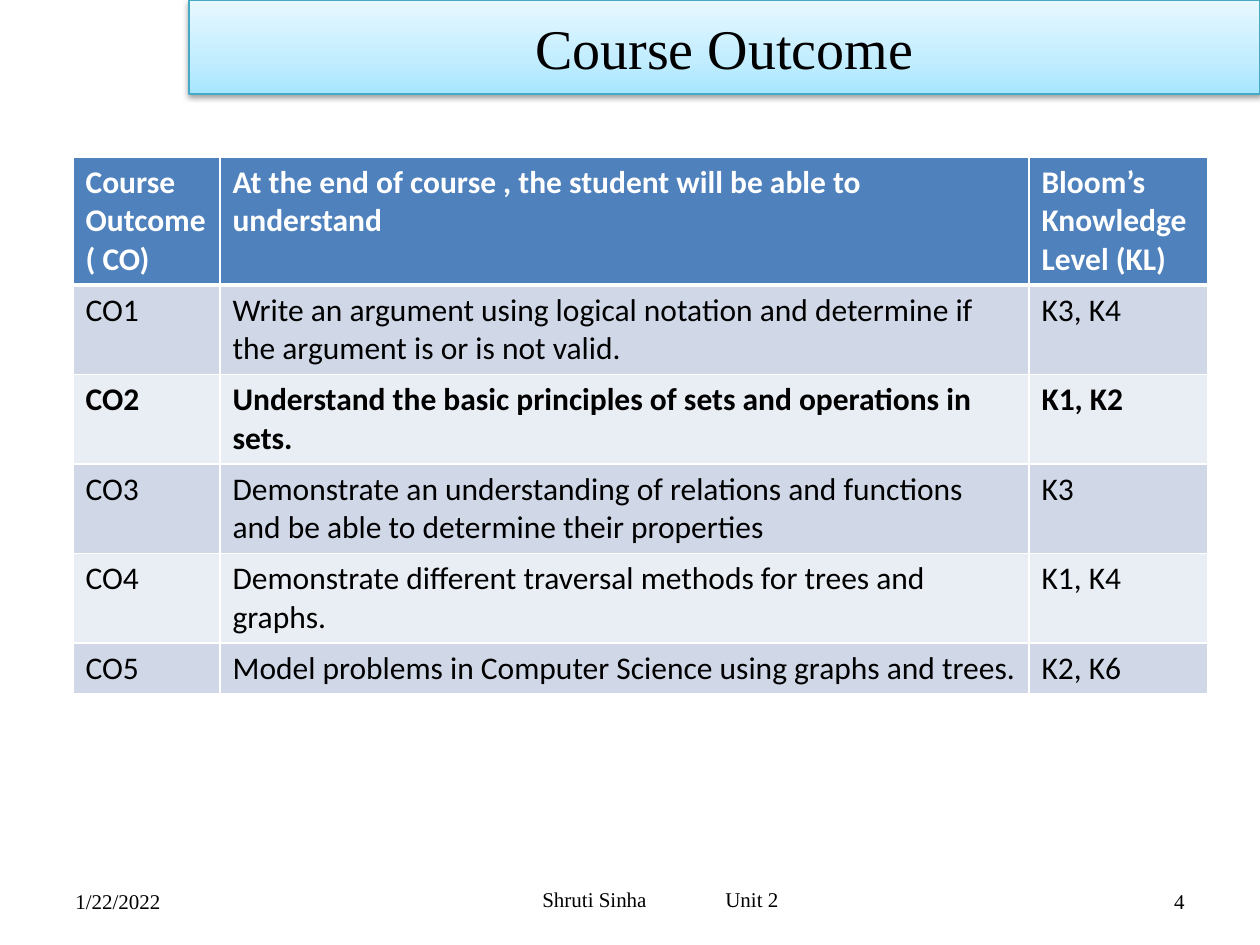
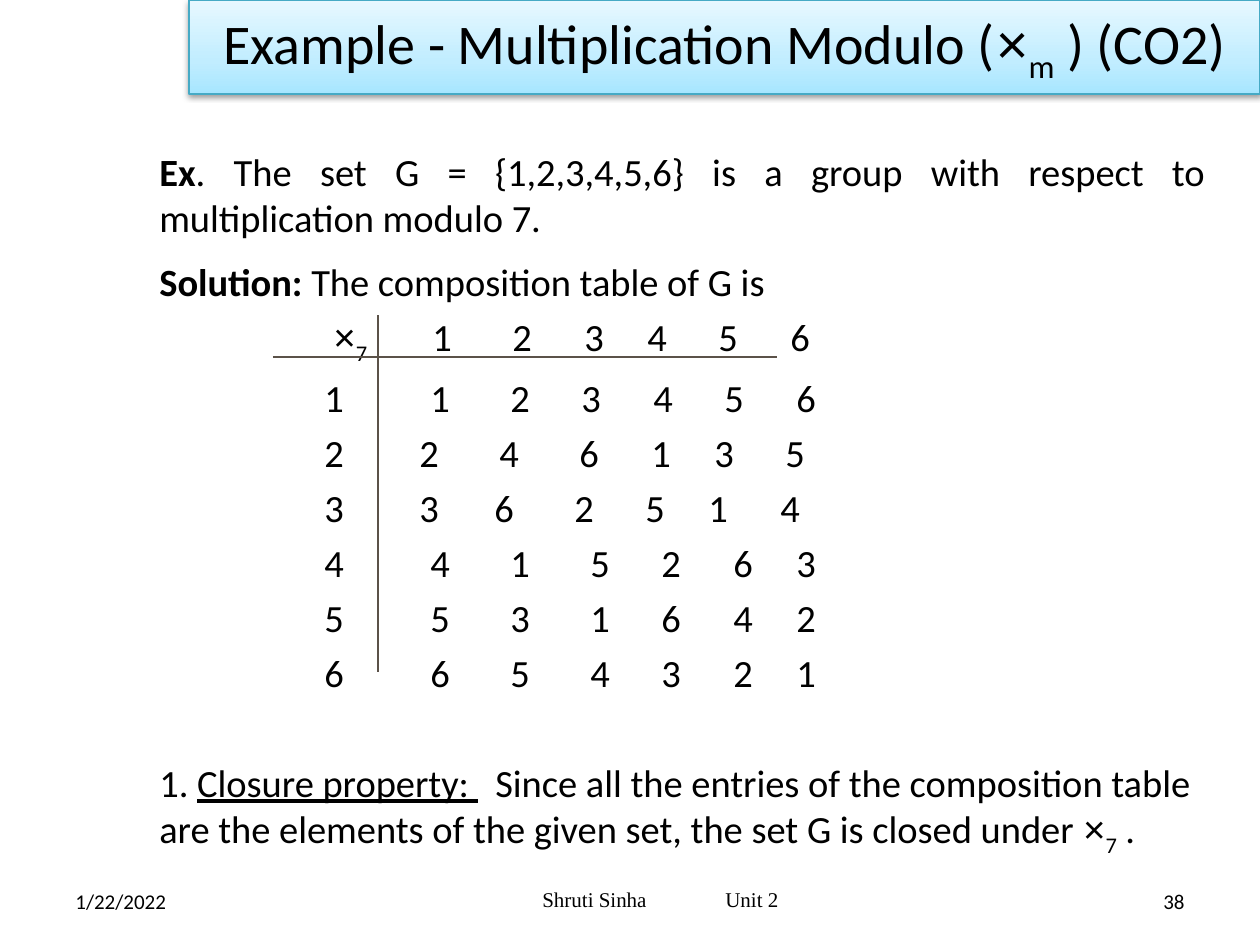
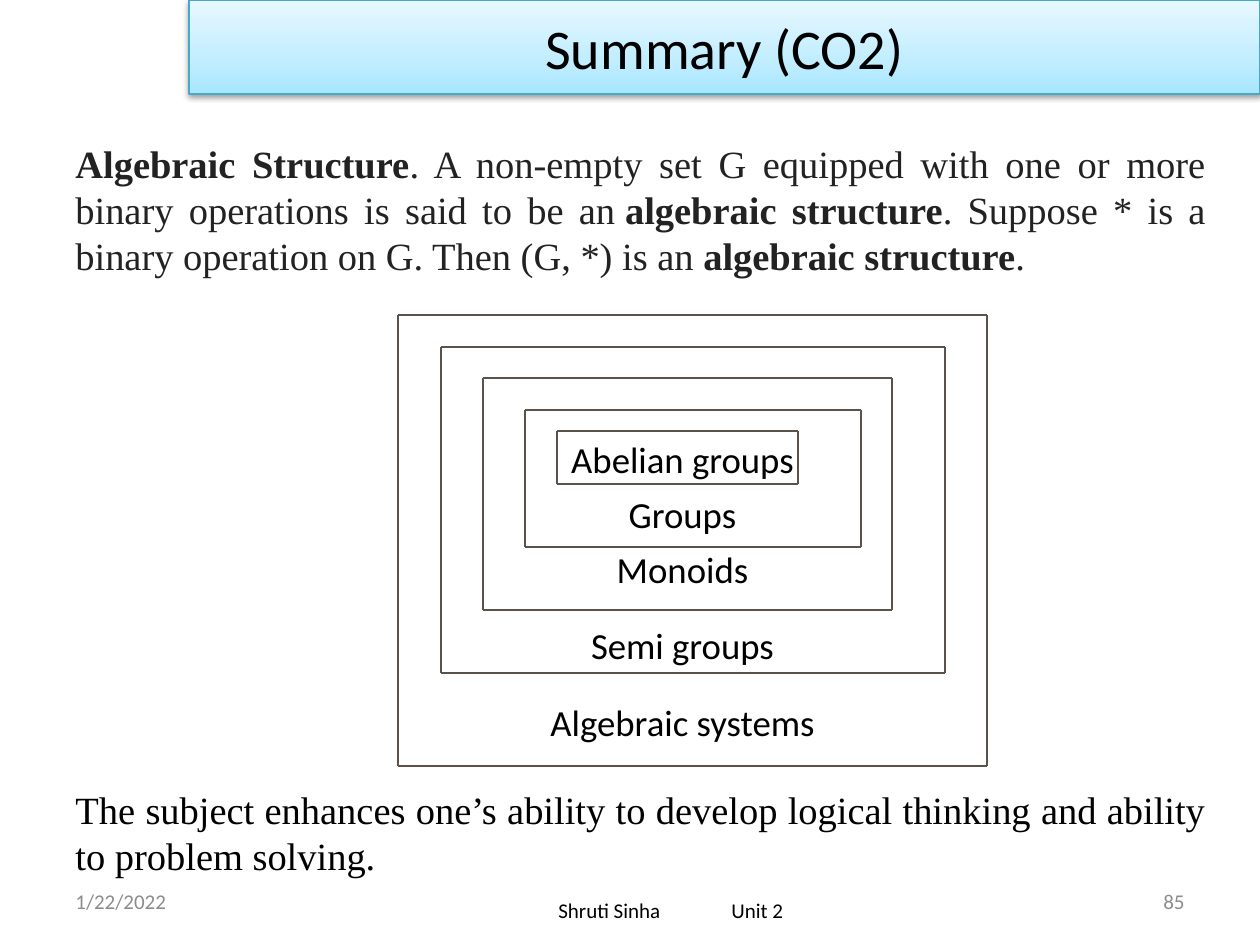
from copy import deepcopy

from lxml.etree import SubElement
from pptx import Presentation
from pptx.dml.color import RGBColor
from pptx.enum.shapes import MSO_CONNECTOR, MSO_SHAPE
from pptx.enum.text import MSO_ANCHOR, PP_ALIGN
from pptx.oxml.ns import qn
from pptx.util import Emu, Pt

SLIDE_SIZE = (1260, 945)

BLACK = RGBColor(0x00, 0x00, 0x00)
WHITE = RGBColor(0xFF, 0xFF, 0xFF)
GREY = RGBColor(0x8C, 0x8C, 0x8C)
CHARCOAL = RGBColor(0x22, 0x22, 0x22)
BROWN_LINE = RGBColor(0x5B, 0x52, 0x49)
BAND_LINE = RGBColor(0x46, 0xAA, 0xC5)
BAND_STOPS = [
    (0, RGBColor(0xA7, 0xE6, 0xFF)),
    (0.35, RGBColor(0xC1, 0xED, 0xFF)),
    (1, RGBColor(0xE7, 0xF8, 0xFF)),
]
HEADER_FILL = RGBColor(0x4F, 0x81, 0xBD)
ROW_FILLS = [RGBColor(0xD0, 0xD8, 0xE8), RGBColor(0xE9, 0xED, 0xF4)]

SANS = "Calibri"
SERIF = "Times New Roman"
SYMBOL = "Arial"

NO_BREAK_SPACE = chr(160)
TIMES_SIGN = ("×", {"font": SYMBOL})
BOLD = {"bold": True}
SUB = {"sub": True}

OUTCOMES = [
    ("Course Outcome ( CO)", "At the end of course , the student will be able to understand",
     "Bloom’s Knowledge Level (KL)"),
    ("CO1", "Write an argument using logical notation and determine if the argument is or is not valid.",
     "K3, K4"),
    ("CO2", "Understand the basic principles of sets and operations in sets.", "K1, K2"),
    ("CO3", "Demonstrate an understanding of relations and functions and be able to determine their properties",
     "K3"),
    ("CO4", "Demonstrate different traversal methods for trees and graphs.", "K1, K4"),
    ("CO5", "Model problems in Computer Science using graphs and trees.", "K2, K6"),
]
BOLD_ROWS = (0, 2)

# Tab stops of the composition table, in px from the text edge
WIDE_STOPS = (165, 271, 351, 431, 502, 574, 637)
HEAD_STOPS = (174, 273, 353, 425, 488, 559, 631)
COMPOSITION = [
    ("1123456", (165, 271, 351, 422, 494, 565, 637)),
    ("2246135", (165, 260, 340, 420, 492, 555, 626)),
    ("3362514", (165, 260, 335, 415, 486, 549, 621)),
    ("4415263", WIDE_STOPS),
    ("5531642", WIDE_STOPS),
    ("6654321", WIDE_STOPS),
]

# Nested frames, relative to the diagram box
FRAMES = [
    (0, 0, 589, 451),
    (43, 32, 504, 326),
    (85, 63, 409, 232),
    (127, 95, 336, 137),
    (159, 116, 241, 53),
]
FRAME_LABELS = [("Abelian groups", 1), ("Groups", 1), ("Monoids", 1),
                ("Semi groups", 1.5), ("Algebraic systems", 1.5)]


def px(length):
    return Emu(round(length * 914400 / 126))


def lengths(box):
    return [px(value) for value in box]


def write(para, spans, size, font=SANS, color=BLACK):
    """Add spans, each a string or a (string, style) pair."""
    for item in spans:
        text, style = (item, {}) if isinstance(item, str) else item
        span = para.add_run()
        span.text = text
        span.font.name = style.get("font", font)
        span.font.size = Pt(size)
        span.font.color.rgb = color
        span.font.bold = style.get("bold", False)
        if style.get("underline"):
            span.font.underline = True
        if style.get("sub"):
            span.font._element.set("baseline", "-25000")


def set_tabs(para, stops):
    tab_list = SubElement(para._p.get_or_add_pPr(), qn("a:tabLst"))
    for stop in stops:
        SubElement(tab_list, qn("a:tab"), pos=str(px(stop)), algn="l")


def add_text(page, box, anchor=MSO_ANCHOR.TOP):
    frame = page.shapes.add_textbox(*lengths(box)).text_frame
    frame.word_wrap = True
    frame.vertical_anchor = anchor
    return frame


def add_line(page, start, end):
    line = page.shapes.add_connector(MSO_CONNECTOR.STRAIGHT, *lengths(start + end))
    line.line.color.rgb = BROWN_LINE
    line.line.width = Pt(0.75)
    SubElement(line._element.spPr, qn("a:effectLst"))


def add_title_band(page, spans, font=SANS):
    band = page.shapes.add_shape(MSO_SHAPE.RECTANGLE, *lengths((189, 0, 1071, 94)))
    band.line.color.rgb = BAND_LINE
    band.line.width = Pt(0.75)

    # Three-stop gradient, light at the top
    band.fill.gradient()
    band.fill.gradient_angle = 90
    stop_list = band._element.spPr.find(".//" + qn("a:gsLst"))
    stop_list.insert(1, deepcopy(stop_list[0]))
    for stop, (position, color) in zip(band.fill.gradient_stops, BAND_STOPS):
        stop.position = position
        stop.color.rgb = color

    # Soft shadow below
    band.shadow.inherit = False
    effects = band._element.spPr.find(qn("a:effectLst"))
    shadow = SubElement(effects, qn("a:outerShdw"), blurRad=str(Pt(3.1)), dist=str(Pt(1.6)),
                        dir="5400000", rotWithShape="0")
    shade = SubElement(shadow, qn("a:srgbClr"), val=str(BLACK))
    SubElement(shade, qn("a:alpha"), val="38000")

    frame = band.text_frame
    frame.word_wrap = True
    frame.vertical_anchor = MSO_ANCHOR.MIDDLE
    para = frame.paragraphs[0]
    para.alignment = PP_ALIGN.CENTER
    write(para, spans, 32, font)


def add_footer(page, number, font=SANS, color=BLACK, author_font=SERIF,
               author_box=(315, 874, 693, 50), author_stops=(215, 398)):
    # Date and page number
    for left, text, align in ((63, "1/22/2022", PP_ALIGN.LEFT), (903, number, PP_ALIGN.RIGHT)):
        para = add_text(page, (left, 876, 294, 50), MSO_ANCHOR.MIDDLE).paragraphs[0]
        para.alignment = align
        write(para, [text], 12, font, color)

    # Author and unit
    para = add_text(page, author_box, MSO_ANCHOR.MIDDLE).paragraphs[0]
    set_tabs(para, author_stops)
    write(para, ["\tShruti Sinha\tUnit 2"], 12, author_font)


def set_borders(cell, widths):
    properties = cell._tc.get_or_add_tcPr()
    for side, width in zip("LRTB", widths):
        border = SubElement(properties, qn(f"a:ln{side}"), w=str(Pt(width)))
        fill = SubElement(border, qn("a:solidFill"))
        SubElement(fill, qn("a:srgbClr"), val=str(WHITE))


def add_outcome_table(page, box):
    table = page.shapes.add_table(len(OUTCOMES), 3, *lengths(box)).table
    for column, width in zip(table.columns, (147, 809, 179)):
        column.width = px(width)
    for index, texts in enumerate(OUTCOMES):
        table.rows[index].height = px(51)
        header = index == 0
        for column, text in enumerate(texts):
            cell = table.cell(index, column)
            set_borders(cell, (1, 1, 3 if index == 1 else 1, 3 if header else 1))
            cell.fill.solid()
            cell.fill.fore_color.rgb = HEADER_FILL if header else ROW_FILLS[(index - 1) % 2]
            write(cell.text_frame.paragraphs[0], [(text, {"bold": index in BOLD_ROWS})], 18,
                  color=WHITE if header else BLACK)


def add_composition(page, box):
    left, top, width, height = box
    frame = add_text(page, box)
    write(frame.paragraphs[0], [("Solution: ", BOLD), "The composition table of G is"], 22)

    # Head row, then one row per element
    head = (["\t", TIMES_SIGN, ("7", SUB), "\t" + "\t".join("123456")], HEAD_STOPS)
    rows = [(["\t" + "\t".join(digits)], stops) for digits, stops in COMPOSITION]
    for spans, stops in [head] + rows:
        para = frame.add_paragraph()
        para.space_before = Pt(5)
        set_tabs(para, stops)
        write(para, spans, 22)

    # Closing remark
    para = frame.add_paragraph()
    para.space_before = Pt(36.4)
    set_tabs(para, [336])
    write(para, [
        "1. ", ("Closure property: ", {"underline": True}),
        "\tSince all the entries of the composition table are the elements of the given set, "
        "the set G is closed under ",
        TIMES_SIGN, ("7", SUB), " .",
    ], 22)

    # Rules between heads and entries
    add_line(page, (left + 231, top + 63), (left + 231, top + 420))
    add_line(page, (left + 126, top + 105), (left + 630, top + 105))


def add_nested_frames(page, box):
    left, top, width, height = box
    for x, y, frame_width, frame_height in FRAMES:
        x1, y1 = left + x, top + y
        x2, y2 = x1 + frame_width, y1 + frame_height
        corners = [(x1, y1), (x2, y1), (x2, y2), (x1, y2)]
        for start, end in zip(corners, corners[1:] + corners[:1]):
            add_line(page, start, end)

    # Labels from the innermost frame outwards
    frame = add_text(page, (left - 10, top + 116, width, height - 84))
    for index, (label, spacing) in enumerate(FRAME_LABELS):
        para = frame.add_paragraph() if index else frame.paragraphs[0]
        para.alignment = PP_ALIGN.CENTER
        para.line_spacing = spacing
        if index:
            para.space_before = Pt(6)
        write(para, [label], 21)


def add_statement(page, box, spans, color):
    para = add_text(page, box).paragraphs[0]
    para.alignment = PP_ALIGN.JUSTIFY
    write(para, spans, 22, SERIF, color)


def build_outcome_slide(page):
    add_outcome_table(page, (73, 157, 1135, 567))
    add_title_band(page, ["Course Outcome"], SERIF)
    add_footer(page, "4", SERIF)


def build_example_slide(page):
    add_title_band(page, ["Example - Multiplication Modulo (", TIMES_SIGN, ("m", SUB), " ) (CO2)"])
    add_footer(page, "38")
    para = add_text(page, (147, 115, 1071, 158), MSO_ANCHOR.MIDDLE).paragraphs[0]
    para.alignment = PP_ALIGN.JUSTIFY
    write(para, [
        ("Ex", BOLD),
        ". The set G = {1,2,3,4,5,6} is a group with respect to multiplication modulo 7.",
    ], 22)
    add_composition(page, (147, 252, 1071, 567))


def build_summary_slide(page):
    add_title_band(page, ["Summary (CO2)"])
    add_footer(page, "85", color=GREY, author_font=SANS,
               author_box=(325, 885, 693, 50), author_stops=(221, 394))
    add_statement(page, (63, 134, 1155, 152), [
        ("Algebraic Structure", BOLD),
        ". A non-empty set G equipped with one or more binary operations is said to be an"
        + NO_BREAK_SPACE,
        ("algebraic structure", BOLD),
        ". Suppose * is a binary operation on G. Then (G, *) is an" + NO_BREAK_SPACE,
        ("algebraic structure", BOLD), ".",
    ], CHARCOAL)
    add_nested_frames(page, (398, 315, 589, 451))
    add_statement(page, (63, 780, 1155, 106), [
        "The subject enhances one’s ability to develop logical thinking and ability "
        "to problem solving.",
    ], BLACK)


def main():
    deck = Presentation()
    deck.slide_width, deck.slide_height = lengths(SLIDE_SIZE)
    for build in (build_outcome_slide, build_example_slide, build_summary_slide):
        build(deck.slides.add_slide(deck.slide_layouts[6]))
    deck.save("out.pptx")


if __name__ == "__main__":
    main()
